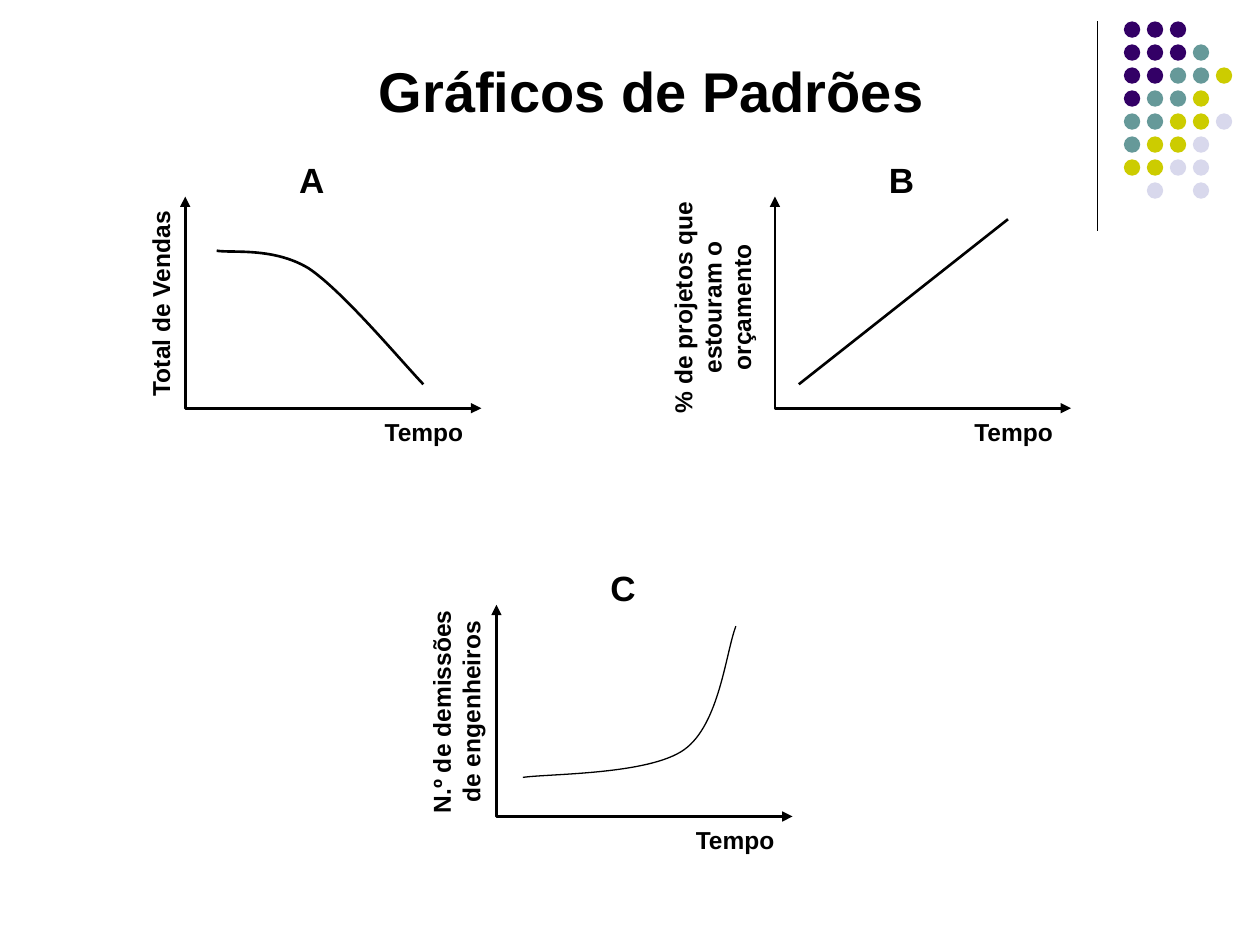
from lxml import etree
from pptx import Presentation
from pptx.dml.color import RGBColor
from pptx.enum.shapes import MSO_CONNECTOR, MSO_SHAPE
from pptx.enum.text import MSO_ANCHOR, MSO_AUTO_SIZE, PP_ALIGN
from pptx.oxml.ns import qn
from pptx.util import Inches, Pt

STRAIGHT = MSO_CONNECTOR.STRAIGHT
OVAL = MSO_SHAPE.OVAL
BOTTOM = MSO_ANCHOR.BOTTOM
NO_AUTOFIT = MSO_AUTO_SIZE.NONE
CENTER = PP_ALIGN.CENTER

BLACK = "000000"
DOT_COLORS = {"P": "330066", "T": "669999", "Y": "CCCC00", "L": "D8D8EC"}
DOT_ROWS = ["PPP", "PPPT", "PPTTY", "PTTY", "TTYYL", "TYYL", "YYLL", " L L"]
DOT_PITCH = 0.73 / 4

# Letter, axis left and top, centre of the vertical label from that corner,
# its height and its paragraphs
GRAPHS = [
    ("A", 1.47, 1.56, -0.2, 0.85, 0.23, ["Total de Vendas"]),
    ("B", 6.15, 1.56, -0.5, 0.88, 0.7, ["% de projetos que", "estouram o orçamento"]),
    ("C", 3.94, 4.8, -0.32, 0.85, 0.47, ["N.º de demissões de engenheiros"]),
]
SALES_CURVE = [(1.72, 1.99), (1.84, 2.01), (2.17, 1.96), (2.45, 2.13),
               (2.72, 2.31), (3.17, 2.85), (3.36, 3.05)]
LAYOFF_CURVE = [(4.15, 6.17), (4.36, 6.14), (5.15, 6.15), (5.43, 5.95),
                (5.71, 5.75), (5.76, 5.18), (5.84, 4.97)]


def color(hex_value):
    return RGBColor.from_string(hex_value)


class SlideBuilder:
    font_name = "Arial"

    def __init__(self, slide):
        self.slide = slide

    def set_text(self, frame, lines, size):
        frame.text = "\n".join(lines)
        for paragraph in frame.paragraphs:
            paragraph.alignment = CENTER
            font = paragraph.font
            font.name, font.size, font.bold = self.font_name, Pt(size), True
            font.color.rgb = color(BLACK)

    def title(self, text, left, top, width, height):
        title = self.slide.shapes.title
        title.left, title.top = Inches(left), Inches(top)
        title.width, title.height = Inches(width), Inches(height)
        title.text_frame.vertical_anchor = BOTTOM
        title.text_frame.auto_size = NO_AUTOFIT
        self.set_text(title.text_frame, [text], 32)

    def label(self, shapes, lines, left, top, width, height, size=14, rotation=0):
        box = shapes.add_textbox(Inches(left), Inches(top), Inches(width), Inches(height))
        box.rotation = rotation
        frame = box.text_frame
        frame.word_wrap = True
        frame.margin_left = frame.margin_right = 0
        frame.margin_top = frame.margin_bottom = 0
        self.set_text(frame, lines, size)

    def line(self, start, end, width):
        connector = self.slide.shapes.add_connector(
            STRAIGHT, *(Inches(value) for value in start + end))
        connector.line.color.rgb = color(BLACK)
        connector.line.width = Pt(width)
        etree.SubElement(connector._element.spPr, qn("a:effectLst"))

    def outline(self, shapes, points, width):
        points = [(Inches(x), Inches(y)) for x, y in points]
        builder = shapes.build_freeform(*points[0])
        builder.add_line_segments(points[1:], close=False)
        shape = builder.convert_to_shape()
        shape.shadow.inherit = False
        shape.fill.background()
        shape.line.color.rgb = color(BLACK)
        shape.line.width = Pt(width)
        return shape

    def curve(self, points, width):
        shape = self.outline(self.slide.shapes, points, width)
        # Every three line segments become one Bézier segment
        segments = list(shape._element.iter(qn("a:lnTo")))
        for first in range(0, len(segments), 3):
            group = segments[first:first + 3]
            bezier = etree.Element(qn("a:cubicBezTo"))
            group[0].addprevious(bezier)
            for segment in group:
                bezier.append(segment[0])
                segment.getparent().remove(segment)

    def axes(self, shapes, left, top):
        corner = top + 1.68
        shape = self.outline(
            shapes, [(left, top), (left, corner), (left + 2.35, corner)], 1.5)
        line_element = shape._element.spPr.find(qn("a:ln"))
        for end in ("a:headEnd", "a:tailEnd"):
            etree.SubElement(line_element, qn(end), type="triangle")

    def graph(self, letter, left, top, label_x, label_y, label_height, label_lines):
        shapes = self.slide.shapes.add_group_shape().shapes
        self.axes(shapes, left, top)
        self.label(shapes, ["Tempo"], left + 1.56, top + 1.75, 0.67, 0.23)
        label_width = 1.77
        self.label(shapes, label_lines, left + label_x - label_width / 2,
                   top + label_y - label_height / 2, label_width, label_height,
                   rotation=270)
        self.label(shapes, [letter], left + 0.67, top - 0.3, 0.67, 0.33, size=20)

    def dots(self, left, top, diameter):
        shapes = self.slide.shapes.add_group_shape().shapes
        for row, codes in enumerate(DOT_ROWS):
            for column, code in enumerate(codes):
                if code not in DOT_COLORS:
                    continue
                dot = shapes.add_shape(
                    OVAL, Inches(left + column * DOT_PITCH), Inches(top + row * DOT_PITCH),
                    Inches(diameter), Inches(diameter))
                dot.shadow.inherit = False
                dot.fill.solid()
                dot.fill.fore_color.rgb = color(DOT_COLORS[code])
                dot.line.fill.background()


def main():
    presentation = Presentation()
    presentation.slide_width, presentation.slide_height = Inches(10), Inches(7.5)
    title_only = presentation.slide_layouts[5]
    builder = SlideBuilder(presentation.slides.add_slide(title_only))

    # Corner decoration
    builder.line((8.71, 0.17), (8.71, 1.83), 0.75)
    builder.dots(8.92, 0.17, 0.13)

    # Title
    builder.title("Gráficos de Padrões", 0.69, 0.28, 8.96, 0.75)

    # Axes with their labels
    for graph in GRAPHS:
        builder.graph(*graph)

    # Trends
    builder.line((6.34, 3.05), (8, 1.74), 1.5)
    builder.curve(SALES_CURVE, 1.5)
    builder.curve(LAYOFF_CURVE, 0.75)

    presentation.save("out.pptx")


if __name__ == "__main__":
    main()
